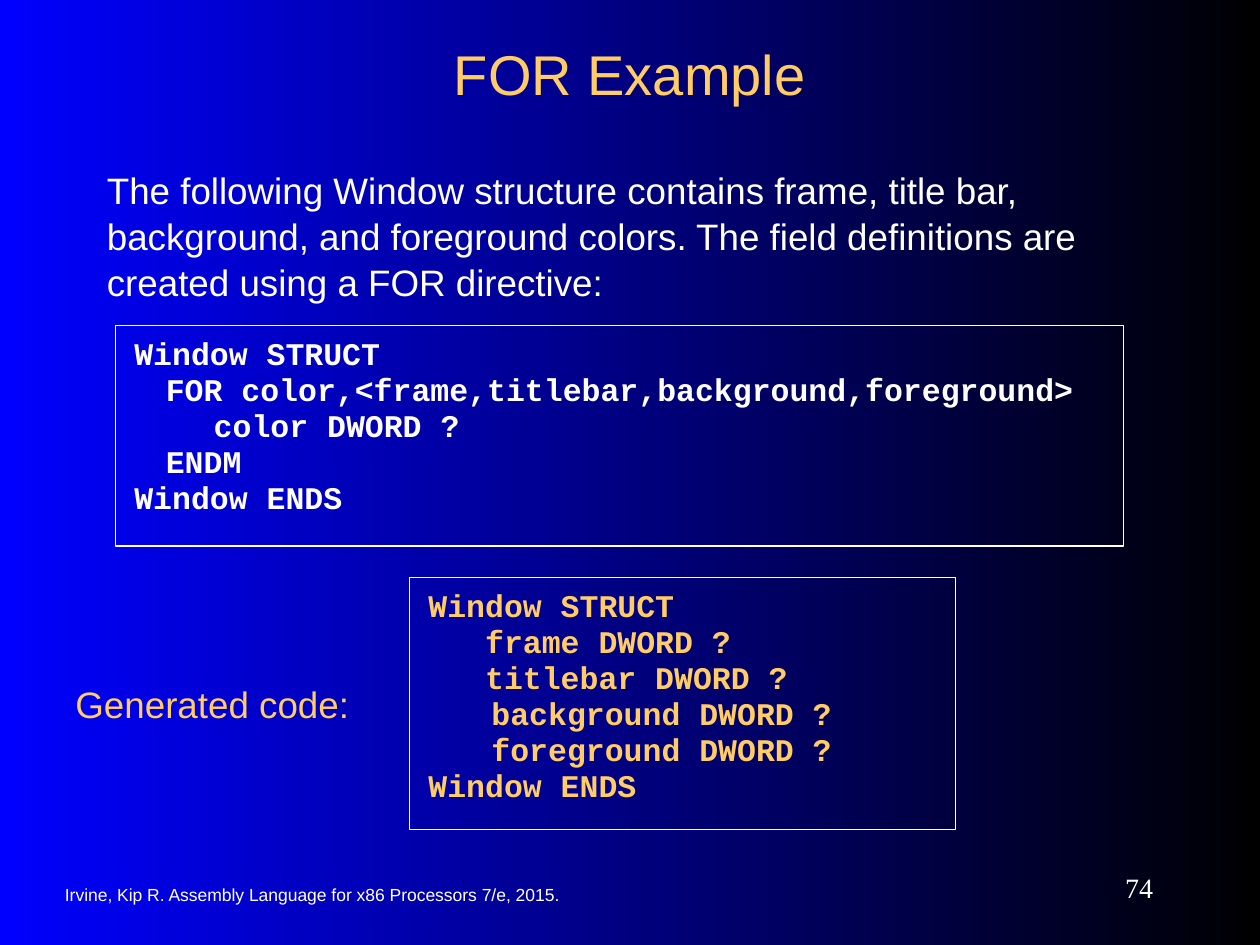
"""Build the FOR directive example slide."""
from pptx import Presentation
from pptx.dml.color import RGBColor
from pptx.enum.shapes import MSO_SHAPE
from pptx.enum.text import MSO_ANCHOR as Anchor, PP_ALIGN as Align
from pptx.oxml.ns import qn
from pptx.util import Emu, Inches, Pt
from lxml.etree import SubElement

THEME = {
    "white": "FFFFFF", "gold": "FFCC66", "gradient": ("0000FF", "000000"),
    "title": ("Arial", 32), "body": ("Arial", 21), "code": ("Courier New", 18),
    "credit": ("Arial", 10), "number": ("Times New Roman", 16),
    "edge": 0.75, "body_spacing": 1.04, "code_spacing": 0.5, "code_gap": 9.7,
}
WIDTH, HEIGHT = 10, 7.5
COLUMNS, ROWS = 120, 90

LABELS = [
    ("Irvine, Kip R. Assembly Language for x86 Processors 7/e, 2015.",
     (5, 83.2, 57, 4), "credit", "white", Align.LEFT),
    ("74", (98, 82, 13, 5), "number", "white", Align.RIGHT),
    ("FOR Example", (9, 3, 102, 8), "title", "gold", Align.CENTER),
]
BODIES = [
    ("The following Window structure contains frame, title bar, background, "
     "and foreground colors. The field definitions are created using a FOR directive:",
     (9, 14, 101, 16.2), "white"),
    ("Generated code:", (6, 63, 34, 7.8), "gold"),
]
LISTINGS = [
    (["Window STRUCT",
      "\tFOR color,<frame,titlebar,background,foreground>",
      "\t\tcolor DWORD ?",
      "\tENDM",
      "Window ENDS"],
     (11, 31, 96, 21), "white", (0.25, 0.63)),
    (["Window STRUCT",
      "   frame DWORD ?",
      "   titlebar DWORD ?",
      "\tbackground DWORD ?",
      "\tforeground DWORD ?",
      "Window ENDS"],
     (39, 55, 52, 24), "gold", (0.5,)),
]


def color(name):
    return RGBColor.from_string(THEME[name])


def place(cell):
    left, top, width, height = cell
    return (Inches(left * WIDTH / COLUMNS), Inches(top * HEIGHT / ROWS),
            Inches(width * WIDTH / COLUMNS), Inches(height * HEIGHT / ROWS))


def fill_text(box, lines, style, tint, margins, anchor=Anchor.TOP,
              align=Align.LEFT, spacing=None, gap=0, tabs=()):
    frame = box.text_frame
    frame.word_wrap = True
    frame.vertical_anchor = anchor
    frame.margin_left = frame.margin_right = Inches(margins[0])
    frame.margin_top = frame.margin_bottom = Inches(margins[1])
    for index, line in enumerate(lines):
        para = frame.add_paragraph() if index else frame.paragraphs[0]
        para.add_run().text = line
        para.alignment = align
        para.line_spacing = spacing
        if index:
            para.space_before = Pt(gap)
        if tabs:
            stops = SubElement(para._p.get_or_add_pPr(), qn("a:tabLst"))
            for stop in tabs:
                SubElement(stops, qn("a:tab"), pos=str(Emu(Inches(stop))), algn="l")
        family, size = THEME[style]
        para.font.name, para.font.size = family, Pt(size)
        para.font.bold = style == "code"
        para.font.color.rgb = color(tint)


def paint_background(page):
    fill = page.background.fill
    fill.gradient()
    fill.gradient_angle = 0
    for stop, shade, position in zip(fill.gradient_stops, THEME["gradient"], (0, 1)):
        stop.color.rgb = RGBColor.from_string(shade)
        stop.position = position


def main():
    deck = Presentation()
    deck.slide_width, deck.slide_height = Inches(WIDTH), Inches(HEIGHT)
    page = deck.slides.add_slide(deck.slide_layouts[6])
    paint_background(page)
    for text, cell, style, tint, align in LABELS:
        box = page.shapes.add_textbox(*place(cell))
        fill_text(box, [text], style, tint, (0.1, 0.05), Anchor.MIDDLE, align)
    for text, cell, tint in BODIES:
        box = page.shapes.add_textbox(*place(cell))
        fill_text(box, [text], "body", tint, (0.1, 0.15), spacing=THEME["body_spacing"])
    for lines, cell, tint, tabs in LISTINGS:
        box = page.shapes.add_shape(MSO_SHAPE.RECTANGLE, *place(cell))
        box.shadow.inherit = False
        box.fill.background()
        box.line.color.rgb = color("white")
        box.line.width = Pt(THEME["edge"])
        fill_text(box, lines, "code", tint, (0.15, 0.2), spacing=THEME["code_spacing"],
                  gap=THEME["code_gap"], tabs=tabs)
    deck.save("out.pptx")


if __name__ == "__main__":
    main()
